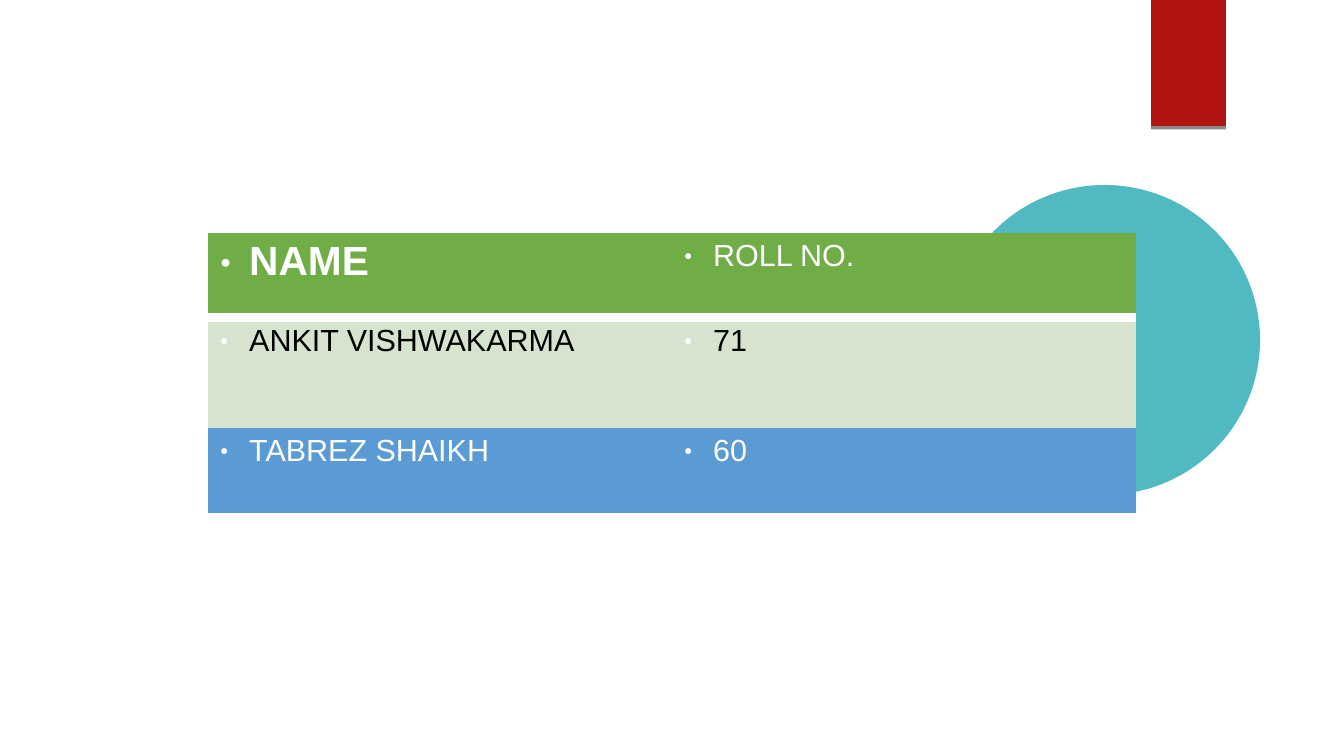
"""Builds a slide with a roll-number table beside a teal disc and a red tab."""
import dataclasses

import pptx
import pptx.dml.color
import pptx.enum.shapes
import pptx.oxml
import pptx.oxml.ns
import pptx.util


@dataclasses.dataclass(frozen=True)
class Theme:
    font: str = "Arial"
    white: str = "FFFFFF"
    black: str = "000000"
    teal: str = "50B9C1"
    red: str = "B01513"
    green: str = "70AD47"
    pale: str = "D5E3CF"
    blue: str = "5B9BD5"
    heading: int = 24
    body: int = 18


THEME = Theme()
PX = 914400 // 122
SLIDE_SIZE = (1344, 756)
DISC = (949, 185, 311, 310)
TAB = (1151, 0, 75, 126)
TABLE_LEFT, TABLE_TOP = 208, 233
COLUMN_WIDTH = 464
INDENT = 29
RULE = 6 * 12700

ROWS = [
    {"cells": ("NAME", "ROLL NO."), "height": 85, "fill": THEME.green, "color": THEME.white},
    {"cells": ("ANKIT VISHWAKARMA", "71"), "height": 110, "fill": THEME.pale, "color": THEME.black},
    {"cells": ("TABREZ SHAIKH", "60"), "height": 85, "fill": THEME.blue, "color": THEME.white},
]


def px(*lengths):
    return [pptx.util.Emu(length * PX) for length in lengths]


def rgb(color):
    return pptx.dml.color.RGBColor.from_string(color)


def element(tag, attributes="", inner=""):
    namespace = pptx.oxml.ns.nsdecls("a")
    return pptx.oxml.parse_xml(f"<a:{tag} {namespace} {attributes}>{inner}</a:{tag}>")


def solid(color, inner=""):
    return f'<a:srgbClr val="{color}">{inner}</a:srgbClr>'


def add_decoration(slide, kind, box, color):
    shape = slide.shapes.add_shape(kind, *px(*box))
    shape.shadow.inherit = False
    shape.fill.solid()
    shape.fill.fore_color.rgb = rgb(color)
    shape.line.fill.background()
    return shape


def write_bullet(frame, text, size=THEME.body, color=THEME.white, bold=False):
    paragraph = frame.paragraphs[0]
    properties = paragraph._p.get_or_add_pPr()
    properties.set("marL", str(INDENT * PX))
    properties.set("indent", str(-INDENT * PX))
    properties.append(element("buClr", inner=solid(THEME.white)))
    properties.append(element("buSzPct", 'val="45000"'))
    properties.append(element("buFont", f'typeface="{THEME.font}"'))
    properties.append(element("buChar", 'char="●"'))
    run = paragraph.add_run()
    run.text = text
    run.font.name = THEME.font
    run.font.size = pptx.util.Pt(size)
    run.font.bold = bold
    run.font.color.rgb = rgb(color)


def set_borders(cell, ruled_sides):
    properties = cell._tc.get_or_add_tcPr()
    for position, side in enumerate(("lnL", "lnR", "lnT", "lnB")):
        if side in ruled_sides:
            border = element(side, f'w="{RULE}"', f"<a:solidFill>{solid(THEME.white)}</a:solidFill>")
        else:
            border = element(side, 'w="0"', "<a:noFill/>")
        properties.insert(position, border)


def add_roll_table(slide):
    columns = len(ROWS[0]["cells"])
    height = sum(row["height"] for row in ROWS)
    box = px(TABLE_LEFT, TABLE_TOP, columns * COLUMN_WIDTH, height)
    table = slide.shapes.add_table(len(ROWS), columns, *box).table
    table.first_row = False
    table.horz_banding = False
    ruled_sides = {0: ("lnB",), 1: ("lnT",)}
    for row_index, row in enumerate(ROWS):
        table.rows[row_index].height = px(row["height"])[0]
        for column_index, text in enumerate(row["cells"]):
            cell = table.cell(row_index, column_index)
            cell.fill.solid()
            cell.fill.fore_color.rgb = rgb(row["fill"])
            set_borders(cell, ruled_sides.get(row_index, ()))
            is_heading = row_index == column_index == 0
            size = THEME.heading if is_heading else THEME.body
            write_bullet(cell.text_frame, text, size=size, color=row["color"], bold=is_heading)


def main():
    deck = pptx.Presentation()
    deck.slide_width, deck.slide_height = px(*SLIDE_SIZE)
    slide = deck.slides.add_slide(deck.slide_layouts[6])
    shapes = pptx.enum.shapes.MSO_SHAPE
    add_decoration(slide, shapes.OVAL, DISC, THEME.teal)
    tab = add_decoration(slide, shapes.RECTANGLE, TAB, THEME.red)
    effects = tab._element.spPr.find(pptx.oxml.ns.qn("a:effectLst"))
    shade = solid(THEME.black, '<a:alpha val="45000"/>')
    effects.append(element("outerShdw", 'dist="25400" dir="5400000" rotWithShape="0"', shade))
    add_roll_table(slide)
    deck.save("out.pptx")


if __name__ == "__main__":
    main()
